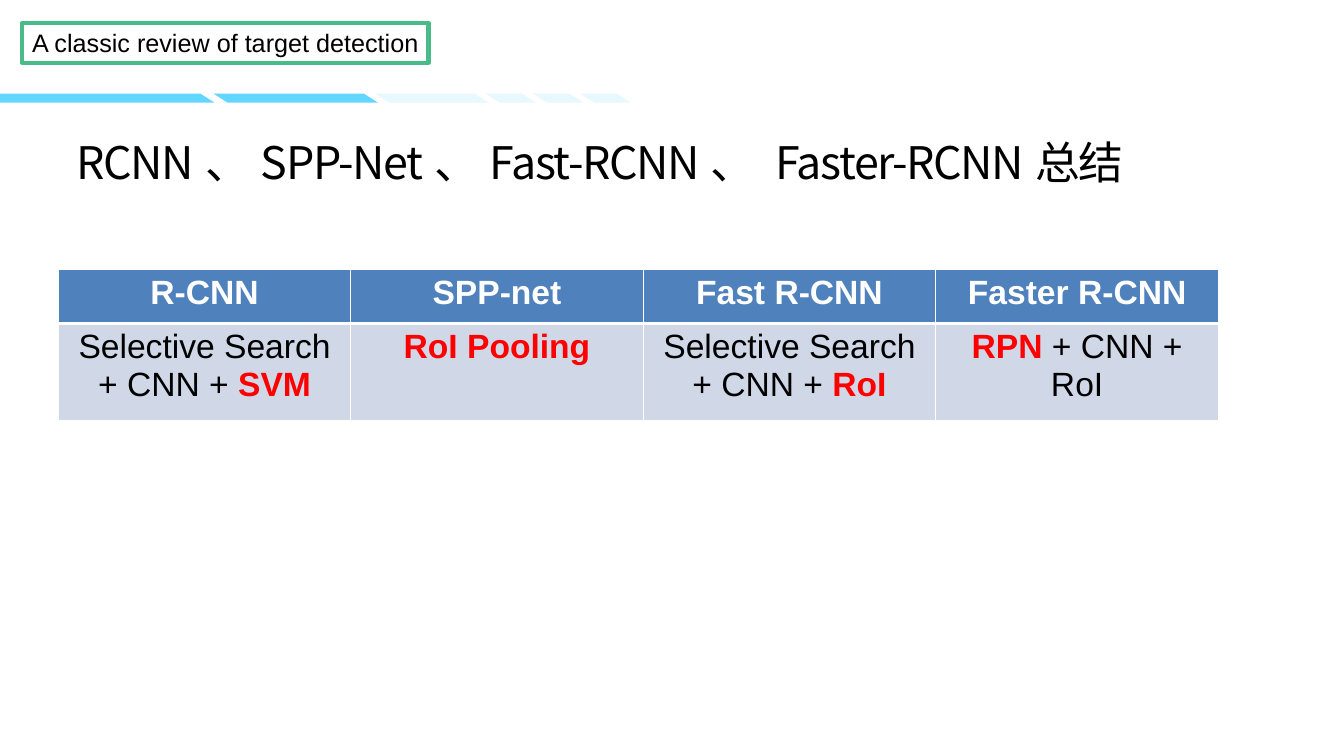
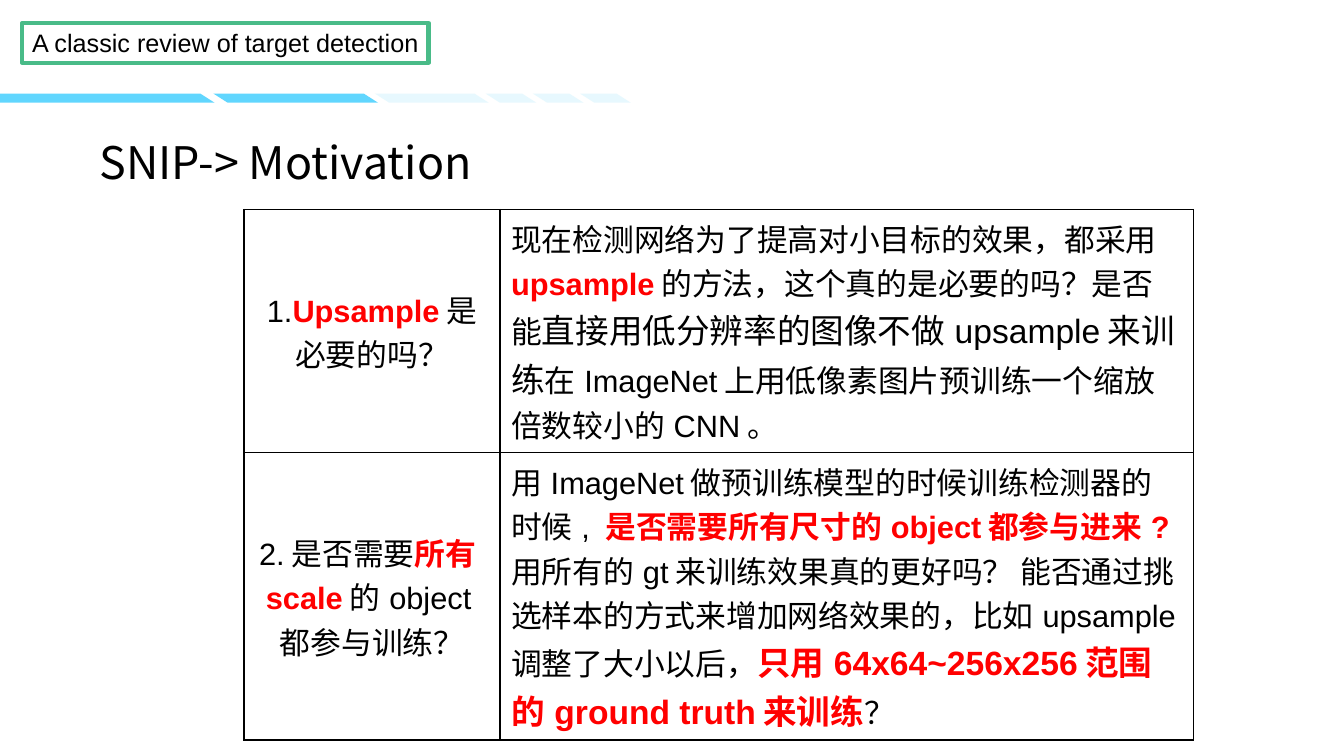
"""Builds two slides that review target detection."""
from lxml import etree
from pptx import Presentation
from pptx import util as u
from pptx.dml.color import RGBColor
from pptx.enum import shapes, text
from pptx.oxml.ns import qn

COLOURS = {
    "black": "000000",
    "white": "FFFFFF",
    "red": "FF0000",
    "green": "49BB88",
    "sky": "61D6FE",
    "header": "4F81BD",
    "body": "D0D8E8",
}
LATIN, CHINESE = "Arial", "Noto Sans CJK SC"
TITLE_TOP, TITLE_HEIGHT = 3.38, 1.37
BAND_TOP, BAND_HEIGHT, SLANT = 2.36, 0.23, 0.36
DARK_PIECES = [(0, 5.05), (5.38, 9.17)]
LIGHT_PIECES = [(9.45, 11.96)] + [(12.24 + 1.19 * i, 13.16 + 1.19 * i) for i in range(3)]

METHODS = [
    [[[(name, "white", 24)]] for name in ("R-CNN", "SPP-net", "Fast R-CNN", "Faster R-CNN")],
    [
        [[("Selective Search + CNN + ", "black", 24), ("SVM", "red", 24)]],
        [[("RoI Pooling", "red", 24)]],
        [[("Selective Search + CNN + ", "black", 24), ("RoI", "red", 24)]],
        [[("RPN ", "red", 24), ("+ CNN + RoI", "black", 24)]],
    ],
]
QUESTIONS = [
    [
        [[("1.", "black", 22), ("Upsample", "red", 22), ("是必要的吗？", "black", 22)]],
        [[
            ("现在检测网络为了提高对小目标的效果，都采用", "black", 22),
            ("upsample", "red", 22),
            ("的方法，这个真的是必要的吗？是否能", "black", 22),
            ("直接用低分辨率的图像不做upsample来训练", "black", 24),
            ("在ImageNet上用低像素图片预训练一个缩放倍数较小的CNN。", "black", 22),
        ]],
    ],
    [
        [[("2.是否需要", "black", 22), ("所有scale", "red", 22), ("的object都参与训练？", "black", 22)]],
        [
            [
                ("用ImageNet做预训练模型的时候训练检测器的时候, ", "black", 22),
                ("是否需要所有尺寸的object都参与进来?", "red", 22),
            ],
            [
                ("用所有的gt来训练效果真的更好吗？ 能否通过挑选样本的方式来增加网络效果的，"
                 "比如upsample调整了大小以后，", "black", 22),
                ("只用64x64~256x256范围的ground truth来训练", "red", 24),
                ("？", "black", 22),
            ],
        ],
    ],
]


def rgb(name):
    """Return the named colour."""
    return RGBColor.from_string(COLOURS[name])


def style_run(run, size, colour, latin=LATIN, bold=False):
    """Set size, colour, weight and both typefaces of a run."""
    run.font.size = u.Pt(size)
    run.font.bold = bold
    run.font.color.rgb = rgb(colour)
    run.font.name = latin
    etree.SubElement(run._r.get_or_add_rPr(), qn("a:ea"), typeface=CHINESE)


def add_band(slide, pieces, alpha=None):
    """Draw slanted pieces as one outline; a piece at the slide edge keeps a straight left side."""
    top, bottom = u.Cm(BAND_TOP), u.Cm(BAND_TOP + BAND_HEIGHT)
    builder = None
    for left, right in pieces:
        start = u.Cm(left), top
        if builder is None:
            builder = slide.shapes.build_freeform(*start)
        else:
            builder.move_to(*start)
        foot = left + SLANT if left else left
        builder.add_line_segments(
            [(u.Cm(right), top), (u.Cm(right + SLANT), bottom), (u.Cm(foot), bottom)], close=True)
    band = builder.convert_to_shape()
    band.shadow.inherit = False
    band.line.fill.background()
    band.fill.solid()
    band.fill.fore_color.rgb = rgb("sky")
    if alpha:
        tint = band._element.spPr.find(qn("a:solidFill"))[0]
        etree.SubElement(tint, qn("a:alpha"), val=str(alpha * 1000))


def add_header(slide):
    """Place the framed topic and the bands under it."""
    add_band(slide, DARK_PIECES)
    add_band(slide, LIGHT_PIECES, alpha=15)
    topic = slide.shapes.add_shape(
        shapes.MSO_SHAPE.RECTANGLE, u.Cm(0.56), u.Cm(0.58), u.Cm(10.24), u.Cm(1))
    topic.shadow.inherit = False
    topic.fill.background()
    topic.line.color.rgb = rgb("green")
    topic.line.width = u.Pt(3)
    frame = topic.text_frame
    frame.text = "A classic review of target detection"
    frame.word_wrap = True
    frame.margin_right = 0
    frame.vertical_anchor = text.MSO_ANCHOR.MIDDLE
    frame.paragraphs[0].alignment = text.PP_ALIGN.LEFT
    style_run(frame.paragraphs[0].runs[0], 18, "black")


def add_titled_slide(deck, wording, left, width, spacing=0):
    """Add a slide with the shared header and its title."""
    slide = deck.slides.add_slide(deck.slide_layouts[5])
    add_header(slide)
    title = slide.shapes.title
    title.left, title.top = u.Cm(left), u.Cm(TITLE_TOP)
    title.width, title.height = u.Cm(width), u.Cm(TITLE_HEIGHT)
    frame = title.text_frame
    frame.text = wording
    frame.auto_size = text.MSO_AUTO_SIZE.NONE
    frame.vertical_anchor = text.MSO_ANCHOR.MIDDLE
    frame.margin_left = frame.margin_right = frame.margin_top = frame.margin_bottom = 0
    frame.paragraphs[0].alignment = text.PP_ALIGN.LEFT
    run = frame.paragraphs[0].runs[0]
    style_run(run, 32, "black", CHINESE)
    if spacing:
        run._r.get_or_add_rPr().set("spc", str(spacing * 100))
    return slide


def set_borders(cell, colour, top=1, bottom=1):
    """Give a cell four solid borders."""
    props = cell._tc.get_or_add_tcPr()
    for place, (side, points) in enumerate(zip("LRTB", (1, 1, top, bottom))):
        border = etree.Element(qn(f"a:ln{side}"), w=str(u.Pt(points)))
        fill = etree.SubElement(border, qn("a:solidFill"))
        etree.SubElement(fill, qn("a:srgbClr"), val=COLOURS[colour])
        props.insert(place, border)


def fill_cell(cell, paragraphs, centred):
    """Write paragraphs of (wording, colour, size) runs; all but black ones are bold."""
    frame = cell.text_frame
    for index, pieces in enumerate(paragraphs):
        paragraph = frame.add_paragraph() if index else frame.paragraphs[0]
        paragraph.alignment = text.PP_ALIGN.CENTER if centred else text.PP_ALIGN.LEFT
        for wording, colour, size in pieces:
            run = paragraph.add_run()
            run.text = wording
            style_run(run, size, colour, bold=colour != "black")


def add_grid(slide, left, top, widths, heights):
    """Add a plain table with the given column widths and row heights."""
    grid = slide.shapes.add_table(
        len(heights), len(widths), u.Cm(left), u.Cm(top),
        u.Cm(sum(widths)), u.Cm(sum(heights))).table
    grid.first_row = grid.horz_banding = False
    for column, width in zip(grid.columns, widths):
        column.width = u.Cm(width)
    for row, height in zip(grid.rows, heights):
        row.height = u.Cm(height)
    return grid


def add_methods(slide, left, top):
    """Place the comparison of the four detectors."""
    grid = add_grid(slide, left, top, [7.37] * 3 + [7.13], [1.37, 2.44])
    for r, row in enumerate(METHODS):
        for c, paragraphs in enumerate(row):
            cell = grid.cell(r, c)
            fill_cell(cell, paragraphs, True)
            cell.fill.solid()
            cell.fill.fore_color.rgb = rgb("body" if r else "header")
            set_borders(cell, "white", top=3 if r else 1, bottom=1 if r else 3)


def add_questions(slide, left, top):
    """Place the questions beside their explanations."""
    grid = add_grid(slide, left, top, [6.45, 17.48], [5.77, 6.73])
    for r, row in enumerate(QUESTIONS):
        for c, paragraphs in enumerate(row):
            cell = grid.cell(r, c)
            fill_cell(cell, paragraphs, c == 0)
            cell.vertical_anchor = text.MSO_ANCHOR.TOP if c else text.MSO_ANCHOR.MIDDLE
            cell.margin_left = cell.margin_right = u.Cm(0.28)
            cell.margin_top = cell.margin_bottom = u.Cm(0.15)
            cell.fill.background()
            set_borders(cell, "black")


def main():
    """Build and save the deck."""
    deck = Presentation()
    deck.slide_width, deck.slide_height = u.Cm(33.87), u.Cm(19.05)
    summary = add_titled_slide(
        deck, "RCNN、SPP-Net、Fast-RCNN、 Faster-RCNN总结", 1.93, 28.3, spacing=-1)
    add_methods(summary, 1.47, 6.78)
    motivation = add_titled_slide(deck, "SNIP-> Motivation", 2.51, 12.09)
    add_questions(motivation, 6.15, 5.28)
    deck.save("out.pptx")


if __name__ == "__main__":
    main()
